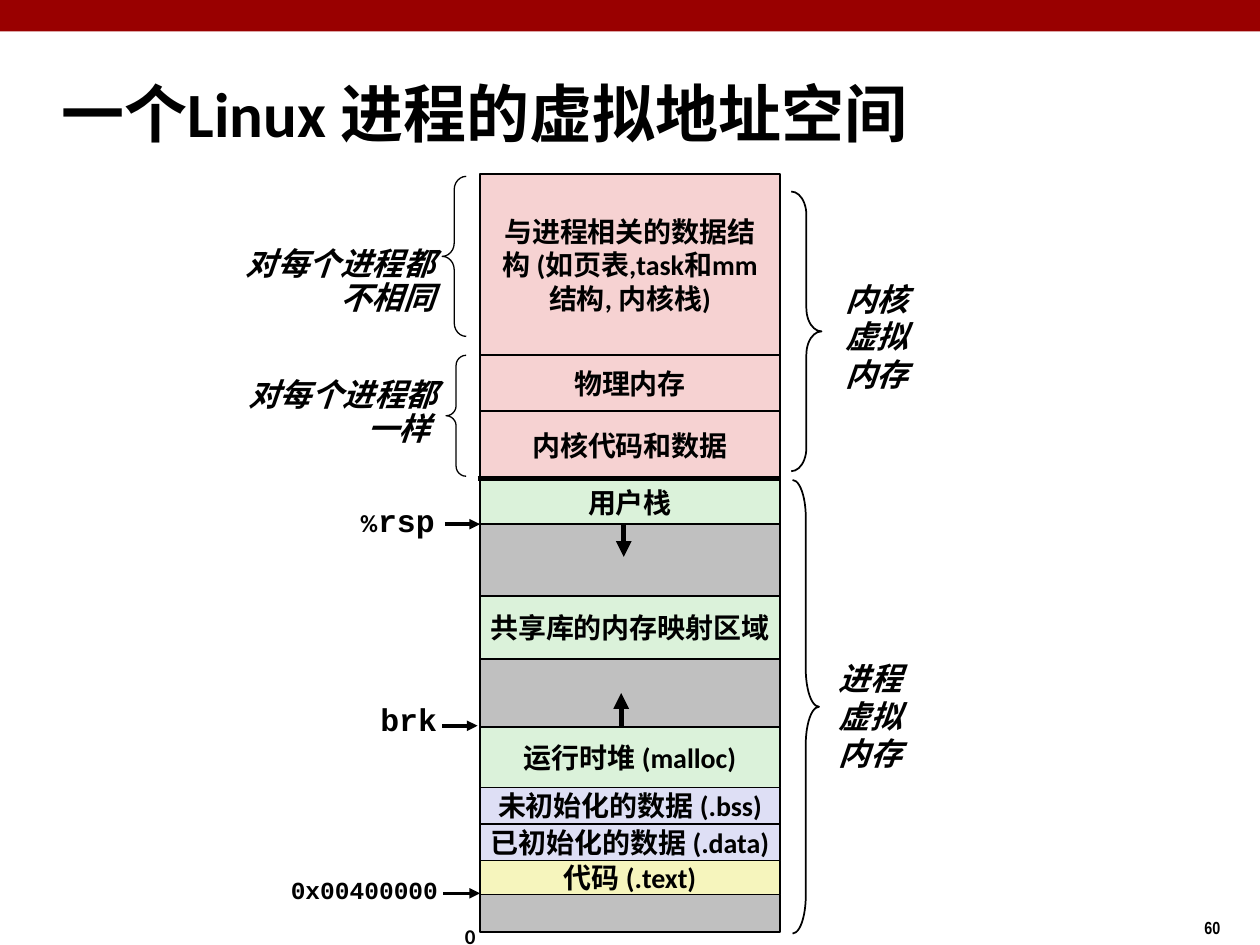
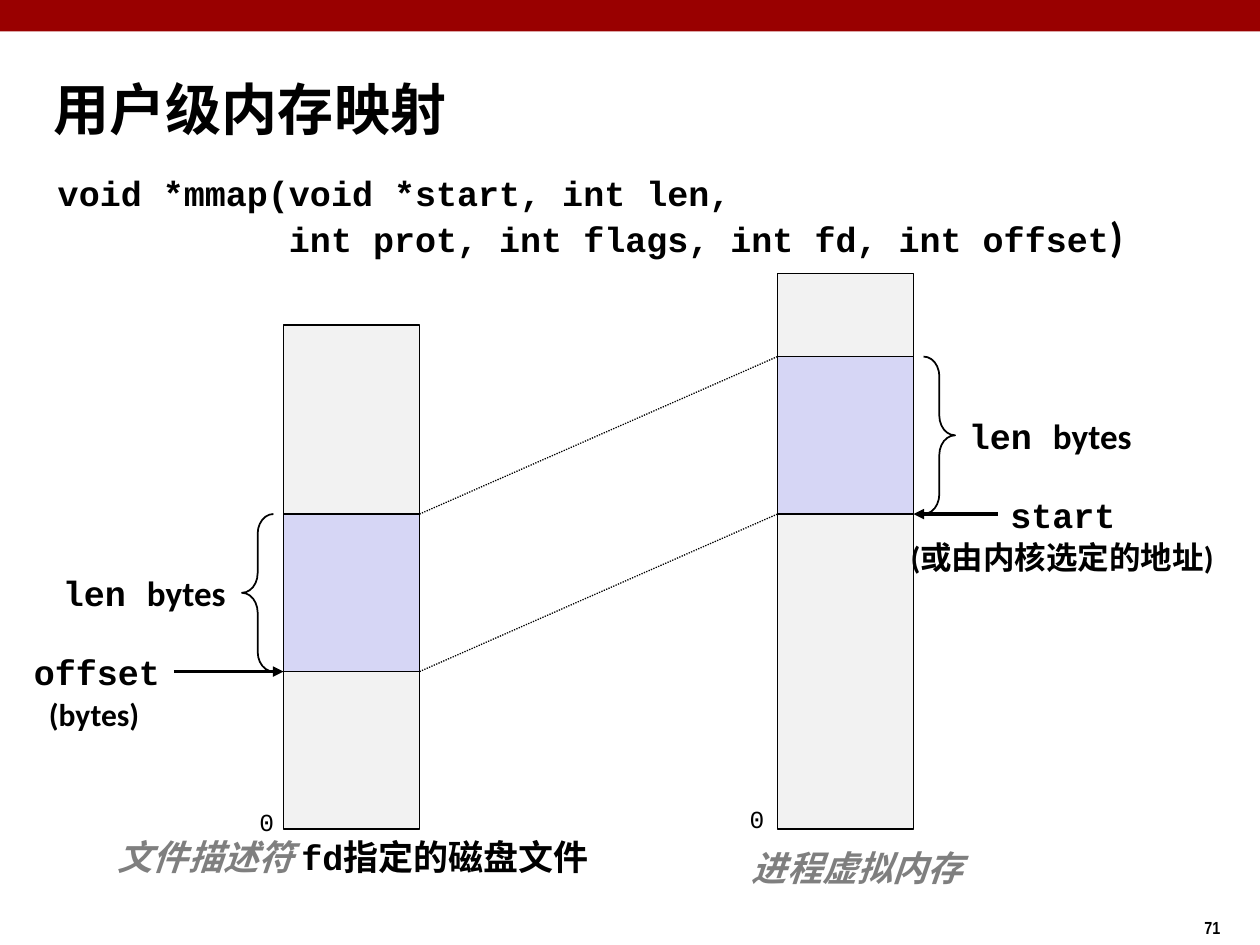
from dataclasses import dataclass, replace
from itertools import pairwise

from pptx import Presentation
from pptx.dml.color import RGBColor
from pptx.enum.dml import MSO_LINE
from pptx.enum.shapes import MSO_CONNECTOR, MSO_SHAPE
from pptx.enum.text import MSO_ANCHOR, MSO_AUTO_SIZE, PP_ALIGN
from pptx.oxml.ns import qn
from pptx.util import Pt
from lxml.etree import SubElement

PX = 9144  # 100 px to the inch

BLACK = RGBColor(0x00, 0x00, 0x00)
GREY = RGBColor(0x7F, 0x7F, 0x7F)
BAND_RED = RGBColor(0x99, 0x00, 0x00)
KERNEL_PINK = RGBColor(0xF6, 0xD2, 0xD2)
USER_GREEN = RGBColor(0xDB, 0xF2, 0xDA)
DATA_LILAC = RGBColor(0xDE, 0xDF, 0xF5)
CODE_YELLOW = RGBColor(0xF6, 0xF5, 0xBD)
UNUSED_GREY = RGBColor(0xC0, 0xC0, 0xC0)
MEMORY_GREY = RGBColor(0xF2, 0xF2, 0xF2)
MAPPED_LILAC = RGBColor(0xD6, 0xD6, 0xF5)

SANS, MONO, NARROW = "Calibri", "Courier New", "Arial Narrow"
LEFT, CENTER, RIGHT = PP_ALIGN.LEFT, PP_ALIGN.CENTER, PP_ALIGN.RIGHT

Box = tuple[int, int, int, int]


@dataclass(frozen=True)
class Style:
    size: int
    font: str = SANS
    color: RGBColor = BLACK
    bold: bool = True
    italic: bool = False


@dataclass(frozen=True)
class Run:
    text: str
    style: Style


@dataclass(frozen=True)
class Label:
    box: Box
    lines: list[list[Run]]
    align: PP_ALIGN = LEFT
    wrap: bool = False
    grow: bool = True
    anchor: MSO_ANCHOR = MSO_ANCHOR.TOP
    spacing: float = 1.0


@dataclass(frozen=True)
class Region:
    top: int
    fill: RGBColor
    text: str = ""
    wrap: bool = False


@dataclass(frozen=True)
class Line:
    start: tuple[int, int]
    end: tuple[int, int]
    width: float = 2
    arrow: bool = True
    dotted: bool = False


@dataclass(frozen=True)
class Brace:
    box: Box
    kind: MSO_SHAPE
    width: float = 1
    curl: float = 1 / 12  # height of each curl as a share of the brace


REGION = Style(16)
NOTE = Style(18)
SIDE = replace(NOTE, italic=True)
CODE18, CODE20 = Style(18, MONO), Style(20, MONO)
SANS20 = Style(20)
CAPTION = Style(20, color=GREY, italic=True)
ZERO = Style(14, MONO, bold=False)


def text_lines(text: str, style: Style) -> list[list[Run]]:
    return [[Run(line, style)] for line in text.split("\n")]


def set_font(font, style: Style) -> None:
    font.size, font.name = Pt(style.size), style.font
    font.bold, font.italic = style.bold, style.italic
    font.color.rgb = style.color


def write(tf, lines: list[list[Run]], align: PP_ALIGN, spacing: float = 1.0) -> None:
    for i, line in enumerate(lines):
        p = tf.add_paragraph() if i else tf.paragraphs[0]
        p.alignment = align
        if spacing != 1:
            p.line_spacing = spacing
        same = len({run.style for run in line}) == 1
        if same:
            set_font(p.font, line[0].style)
        for run in line:
            r = p.add_run()
            r.text = run.text
            if not same:
                set_font(r.font, run.style)


def add_label(s, label: Label) -> None:
    tf = s.shapes.add_textbox(*(v * PX for v in label.box)).text_frame
    tf.word_wrap = label.wrap
    tf.auto_size = MSO_AUTO_SIZE.SHAPE_TO_FIT_TEXT if label.grow else MSO_AUTO_SIZE.NONE
    tf.vertical_anchor = label.anchor
    write(tf, label.lines, label.align, label.spacing)


def add_plain_shape(s, kind: MSO_SHAPE, box: Box, fill: RGBColor | None, line: float):
    sp = s.shapes.add_shape(kind, *(v * PX for v in box))
    sp.shadow.inherit = False
    if fill is None:
        sp.fill.background()
    else:
        sp.fill.solid()
        sp.fill.fore_color.rgb = fill
    if line:
        sp.line.color.rgb = BLACK
        sp.line.width = Pt(line)
    else:
        sp.line.fill.background()
    return sp


def add_column(s, left: int, width: int, bottom: int, regions: list[Region]) -> None:
    """Stack regions, each reaching down to the top of the next."""
    tops = [region.top for region in regions] + [bottom]
    for region, (top, end) in zip(regions, pairwise(tops)):
        box = (left, top, width, end - top)
        sp = add_plain_shape(s, MSO_SHAPE.RECTANGLE, box, region.fill, 1)
        if region.text:
            tf = sp.text_frame
            tf.word_wrap = region.wrap
            tf.vertical_anchor = MSO_ANCHOR.MIDDLE
            write(tf, text_lines(region.text, REGION), CENTER)


def add_brace(s, brace: Brace) -> None:
    sp = add_plain_shape(s, brace.kind, brace.box, None, brace.width)
    _, _, w, h = brace.box
    sp.adjustments[0] = brace.curl * h / w


def add_line(s, line: Line) -> None:
    ends = (v * PX for v in (*line.start, *line.end))
    c = s.shapes.add_connector(MSO_CONNECTOR.STRAIGHT, *ends)
    c.line.color.rgb = BLACK
    c.line.width = Pt(line.width)
    if line.dotted:
        c.line.dash_style = MSO_LINE.ROUND_DOT
    if line.arrow:
        SubElement(c.get_or_add_ln(), qn("a:tailEnd"), type="triangle")
    SubElement(c._element.spPr, qn("a:effectLst"))


def add_base_slide(prs, title: str, title_box: Box, title_size: int, number: int):
    """Blank slide with the red band, page number and title."""
    s = prs.slides.add_slide(prs.slide_layouts[6])
    add_plain_shape(s, MSO_SHAPE.RECTANGLE, (0, 0, 1000, 25), BAND_RED, 0)
    add_label(s, Label((946, 723, 75, 27), text_lines(str(number), Style(10, NARROW))))
    add_label(s, Label(title_box, text_lines(title, Style(title_size)),
                       wrap=True, grow=False, anchor=MSO_ANCHOR.MIDDLE))
    return s


def add_parts(s, lines: list[Line], braces: list[Brace], labels: list[Label]) -> None:
    for line in lines:
        add_line(s, line)
    for brace in braces:
        add_brace(s, brace)
    for label in labels:
        add_label(s, label)


def build_address_space(prs) -> None:
    s = add_base_slide(prs, "一个Linux 进程的虚拟地址空间", (39, 48, 878, 83), 36, 60)
    add_column(s, 381, 238, 740, [
        Region(138, KERNEL_PINK, "与进程相关的数据结构 (如页表,task和mm结构, 内核栈)", wrap=True),
        Region(282, KERNEL_PINK, "物理内存"),
        Region(326, KERNEL_PINK, "内核代码和数据"),
        Region(381, USER_GREEN, "用户栈"),
        Region(416, UNUSED_GREY),
        Region(473, USER_GREEN, "共享库的内存映射区域"),
        Region(523, UNUSED_GREY),
        Region(577, USER_GREEN, "运行时堆 (malloc)"),
        Region(625, DATA_LILAC, "未初始化的数据 (.bss)"),
        Region(654, DATA_LILAC, "已初始化的数据 (.data)"),
        Region(683, CODE_YELLOW, "代码 (.text)"),
        Region(710, UNUSED_GREY),
    ])
    lines = [
        Line((379, 380), (618, 380), 3, arrow=False),  # kernel / user border
        Line((495, 416), (495, 442), 3),  # stack grows down
        Line((493, 576), (493, 550), 3),  # heap grows up
        Line((353, 416), (381, 416)),
        Line((351, 576), (379, 576)),
        Line((352, 709), (381, 709)),
    ]
    braces = [
        Brace((351, 140, 19, 127), MSO_SHAPE.LEFT_BRACE, 0.75),
        Brace((354, 282, 16, 96), MSO_SHAPE.LEFT_BRACE, 0.75),
        Brace((628, 152, 24, 222), MSO_SHAPE.RIGHT_BRACE),
        Brace((629, 381, 21, 360), MSO_SHAPE.RIGHT_BRACE),
    ]
    labels = [
        Label((183, 192, 172, 64), text_lines("对每个进程都不相同", SIDE),
              RIGHT, wrap=True, spacing=0.9),
        Label((183, 296, 174, 64), text_lines("对每个进程都一样 ", SIDE),
              RIGHT, wrap=True, spacing=0.9),
        Label((661, 217, 75, 100), text_lines("内核\n虚拟\n内存", SIDE)),
        Label((656, 518, 70, 100), text_lines("进程\n虚拟\n内存", SIDE)),
        Label((276, 393, 79, 40), [[Run("%", Style(14)), Run("rsp", CODE18)]]),
        Label((292, 551, 65, 40), text_lines("brk", CODE18)),
        Label((221, 692, 137, 31), text_lines("0x00400000", Style(14, MONO)), spacing=0.9),
        Label((359, 728, 28, 30), text_lines("0", Style(12))),
    ]
    add_parts(s, lines, braces, labels)


def build_memory_mapping(prs) -> None:
    s = add_base_slide(prs, "用户级内存映射", (33, 54, 950, 63), 32, 71)
    mapped = 125  # height of the mapped part
    file_left, file_top = 225, 408
    memory_left, memory_top = 617, 283
    width, bottom = 108, 658
    for left, column_top, top in ((file_left, 258, file_top), (memory_left, 217, memory_top)):
        add_column(s, left, width, bottom, [
            Region(column_top, MEMORY_GREY),
            Region(top, MAPPED_LILAC),
            Region(top + mapped, MEMORY_GREY),
        ])
    file_end, memory_end = file_top + mapped, memory_top + mapped
    file_right, memory_right = file_left + width, memory_left + width
    lines = [
        Line((file_right, file_top + dy), (memory_left, memory_top + dy), 0.75,
             arrow=False, dotted=True)
        for dy in (0, mapped)
    ]
    lines += [
        Line((792, memory_end), (memory_right, memory_end)),
        Line((138, file_end), (file_left, file_end)),
    ]
    braces = [
        Brace((192, file_top, 25, mapped), MSO_SHAPE.LEFT_BRACE, curl=1 / 8),
        Brace((733, memory_top, 25, mapped), MSO_SHAPE.RIGHT_BRACE, curl=1 / 8),
    ]
    prototype = [
        [Run("void *mmap(void *start, int len,", CODE20)],
        [Run("           int prot, int flags, int fd, int offset", CODE20),
         Run(")", Style(24))],
    ]
    length = [[Run("len ", CODE20), Run("bytes", SANS20)]]
    file_caption = [[Run("文件描述符 ", CAPTION), Run("fd指定的磁盘文件", CODE20)]]
    labels = [
        Label((36, 134, 909, 91), prototype, wrap=True, grow=False, spacing=0.94),
        Label((40, 449, 149, 44), length),
        Label((759, 324, 149, 44), length),
        Label((792, 387, 107, 44), text_lines("start", CODE20)),
        Label((703, 422, 280, 40), text_lines("(或由内核选定的地址)", NOTE), CENTER),
        Label((17, 511, 120, 44), text_lines("offset", CODE20)),
        Label((29, 547, 92, 40), text_lines("(bytes)", NOTE)),
        Label((196, 636, 31, 34), text_lines("0", ZERO)),
        Label((585, 633, 31, 34), text_lines("0", ZERO)),
        Label((77, 658, 407, 44), file_caption, CENTER),
        Label((587, 667, 187, 44), text_lines("进程虚拟内存", CAPTION)),
    ]
    add_parts(s, lines, braces, labels)


def main() -> None:
    prs = Presentation()
    prs.slide_width, prs.slide_height = 1000 * PX, 750 * PX
    build_address_space(prs)
    build_memory_mapping(prs)
    prs.save("out.pptx")


if __name__ == "__main__":
    main()
